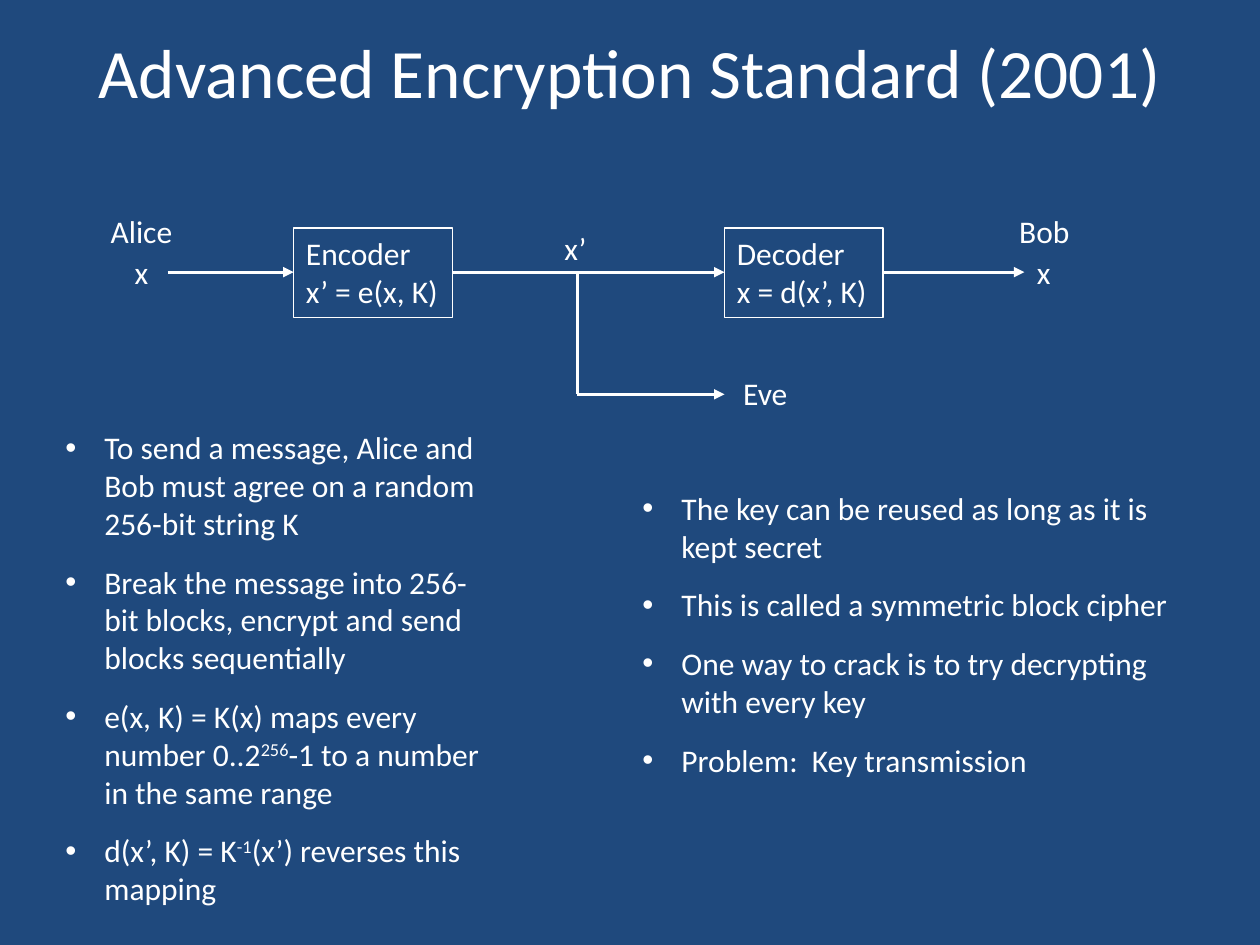
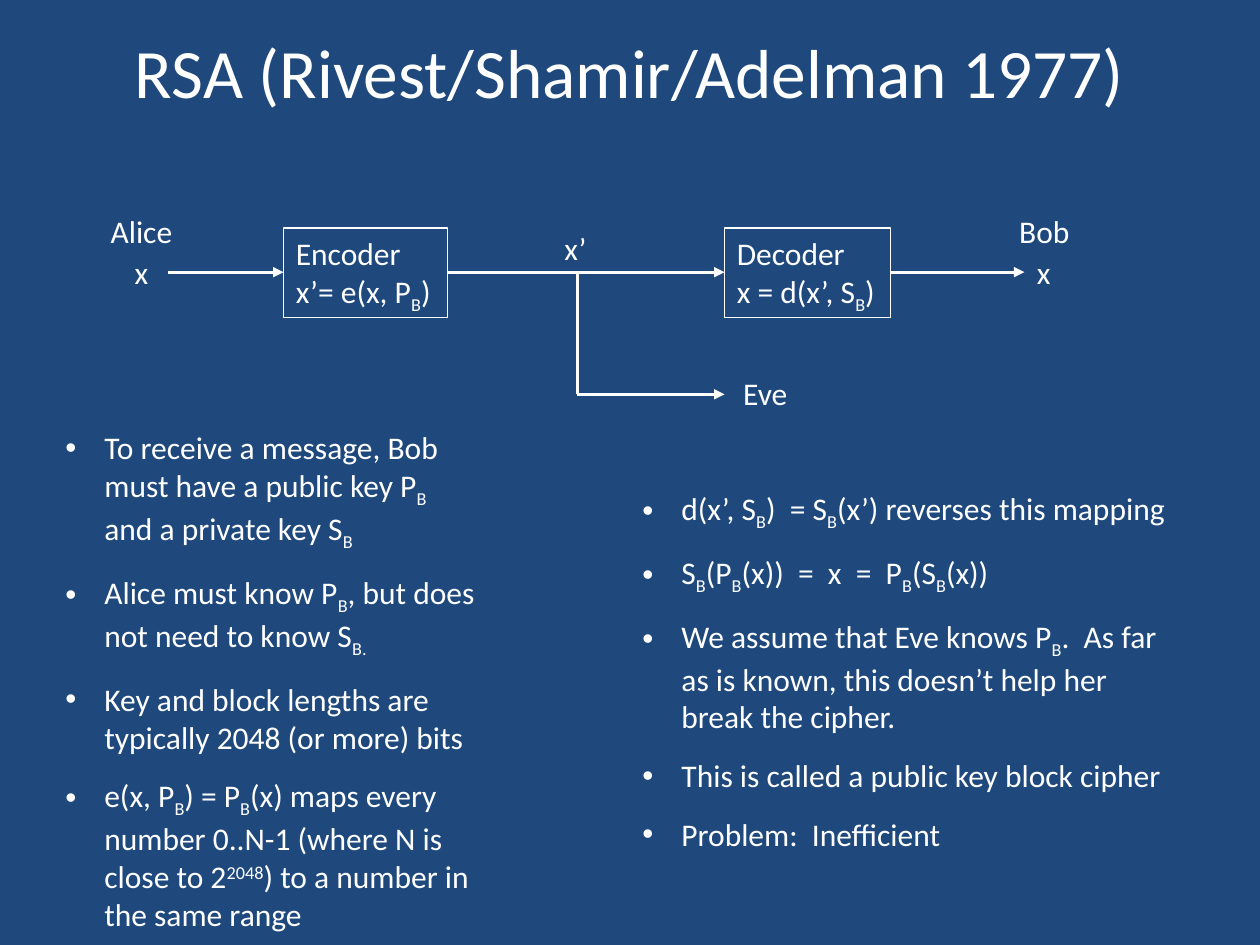
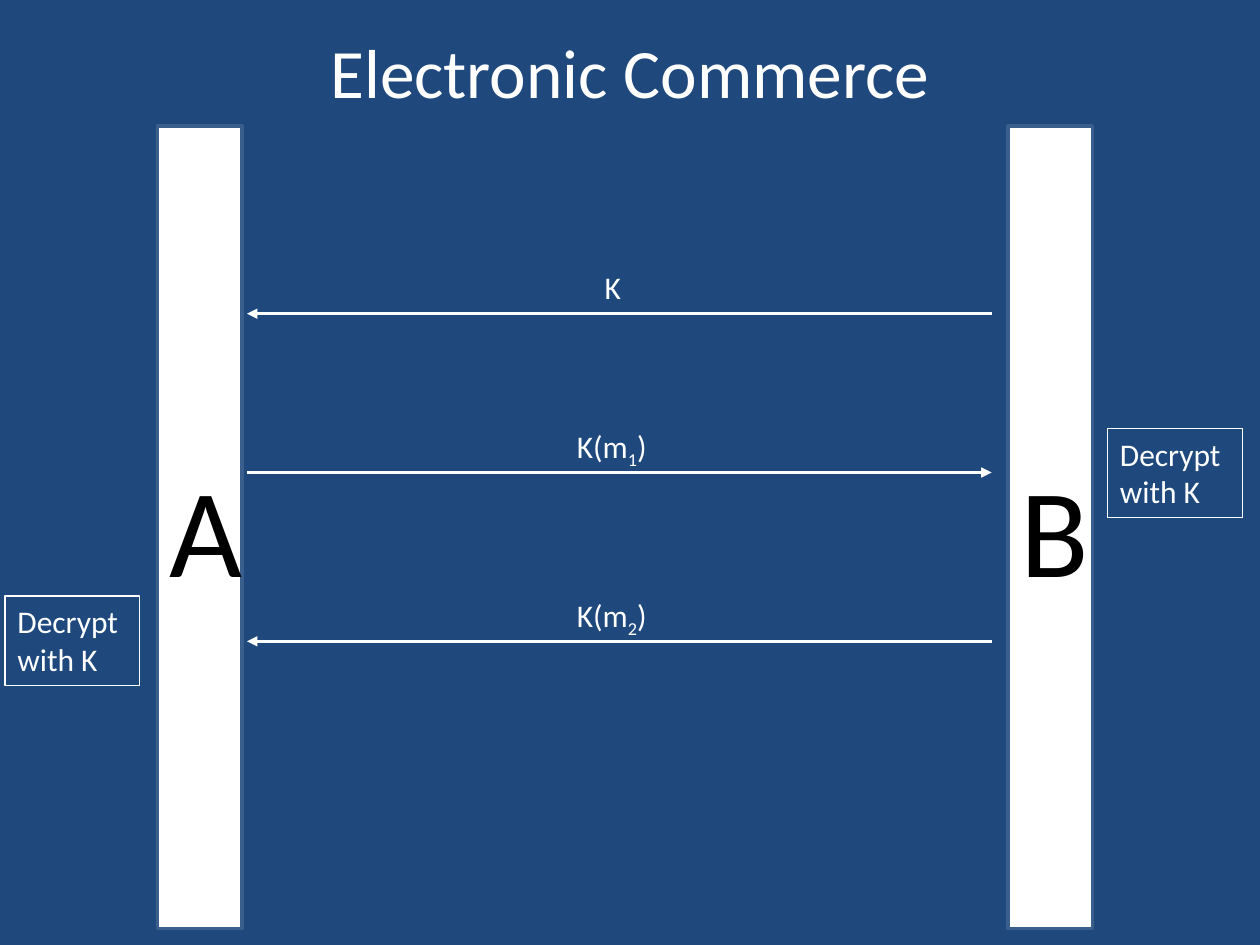
import pptx
import pptx.util
import pptx.dml.color
import pptx.enum.text
import pptx.enum.shapes
import pptx.oxml.ns
import pptx.oxml.xmlchemy

PX = 9144  # EMU per px, 100 px to the inch
FONT = "Calibri"
NAVY, WHITE, BLACK, BAR_EDGE = "1F497D", "FFFFFF", "000000", "3A5F8C"
BASELINE = {"_": "-25000", "^": "30000"}

ALIGN = pptx.enum.text.PP_ALIGN
ANCHOR = pptx.enum.text.MSO_ANCHOR
AUTO = pptx.enum.text.MSO_AUTO_SIZE


def rgb(color):
    return pptx.dml.color.RGBColor.from_string(color)


def px(*lengths):
    return [n * PX for n in lengths]


def a_element(tag, **attributes):
    element = pptx.oxml.xmlchemy.OxmlElement("a:" + tag)
    for name, value in attributes.items():
        element.set(name, str(value))
    return element


def write(tf, text, size=18, color=WHITE, align=None, anchor=ANCHOR.TOP,
          wrap=False, auto=AUTO.SHAPE_TO_FIT_TEXT, bullet=False, gap=0):
    """One paragraph a line; between bars, _ starts a subscript, ^ a superscript."""
    tf.word_wrap, tf.auto_size, tf.vertical_anchor = wrap, auto, anchor
    for i, line in enumerate(text.split("\n")):
        p = tf.add_paragraph() if i else tf.paragraphs[0]
        if align is not None:
            p.alignment = align
        if bullet:
            pPr = p._p.get_or_add_pPr()
            pPr.set("marL", str(31 * PX))
            pPr.set("indent", str(-31 * PX))
            pPr.append(a_element("buFont", typeface="Arial"))
            pPr.append(a_element("buChar", char="•"))
        if i and gap:
            p.space_before = pptx.util.Pt(gap)
        for part in line.split("|"):
            r = p.add_run()
            r.font.size, r.font.name = pptx.util.Pt(size), FONT
            r.font.color.rgb = rgb(color)
            if part[:1] in BASELINE:
                r.font._element.set("baseline", BASELINE[part[0]])
                part = part[1:]
            r.text = part


def label(s, x, y, w, h, text, **style):
    write(s.shapes.add_textbox(*px(x, y, w, h)).text_frame, text, **style)


def rect(s, x, y, w, h, text, fill=None, line=WHITE, weight=0.75,
         align=ALIGN.LEFT, **style):
    sp = s.shapes.add_shape(pptx.enum.shapes.MSO_SHAPE.RECTANGLE, *px(x, y, w, h))
    sp.shadow.inherit = False
    if fill:
        sp.fill.solid()
        sp.fill.fore_color.rgb = rgb(fill)
    else:
        sp.fill.background()
    sp.line.color.rgb = rgb(line)
    sp.line.width = pptx.util.Pt(weight)
    write(sp.text_frame, text, align=align, **style)


def wire(s, x1, y1, x2, y2, arrow=True):
    c = s.shapes.add_connector(pptx.enum.shapes.MSO_CONNECTOR.STRAIGHT,
                               *px(x1, y1, x2, y2))
    c.line.color.rgb = rgb(WHITE)
    c.line.width = pptx.util.Pt(1.75)
    spPr = c._element.spPr
    if arrow:
        spPr.find(pptx.oxml.ns.qn("a:ln")).append(a_element("tailEnd", type="triangle"))
    spPr.append(a_element("effectLst"))


def titled_slide(prs, title):
    s = prs.slides.add_slide(prs.slide_layouts[5])
    sp = s.shapes.title
    sp.left, sp.top, sp.width, sp.height = px(50, 17, 900, 78)
    write(sp.text_frame, title, size=39.6, align=ALIGN.CENTER,
          anchor=ANCHOR.MIDDLE, wrap=True, auto=AUTO.NONE)
    return s


def channel(s, x, y, encoder, decoder):
    """Alice to Bob with Eve listening; each coder is (left, width, text)."""
    wire_y, tap_x, eve_y, box_x = y + 53, x + 380, y + 150, x + 497
    enc_x, enc_w, _ = encoder
    dec_x, dec_w, _ = decoder
    # People and messages
    for dx, dy, w, text in ((0, 0, 70, "Alice"), (19, 33, 31, "x"),
                            (721, 0, 61, "Bob"), (735, 33, 31, "x"),
                            (360, 14, 38, "x’"), (502, 129, 56, "Eve")):
        label(s, x + dx, y + dy, w, 40, text)
    # Coders
    for dx, w, text in (encoder, decoder):
        rect(s, x + dx, y + 18, w, 71, text)
    # Main line
    for start, end in ((55, enc_x), (enc_x + enc_w, dec_x), (dec_x + dec_w, 735)):
        wire(s, x + start, wire_y, x + end, wire_y)
    # Eve's tap
    wire(s, tap_x, wire_y, tap_x, eve_y, arrow=False)
    wire(s, tap_x, eve_y, box_x, eve_y)


def cipher_slide(prs, title, encoder, decoder, left, right):
    s = titled_slide(prs, title)
    channel(s, 78, 163, encoder, decoder)
    for box, points in (((42, 335, 348, 394), left), ((500, 383, 438, 242), right)):
        label(s, *box, "\n".join(points), wrap=True, bullet=True, gap=12)


def exchange(s, x, y, w, h, messages):
    """Two parties as bars; each message is (y, label left, label width, text, to_b)."""
    bar_w = 67
    for left, name in ((x, "A"), (x + w - bar_w, "B")):
        rect(s, left, y, bar_w, h, name, fill=WHITE, line=BAR_EDGE, weight=2,
             size=72, color=BLACK, align=ALIGN.CENTER, anchor=ANCHOR.MIDDLE,
             wrap=True, auto=AUTO.NONE)
    ends = (x + 71, x + w - 80)
    for dy, dx, label_w, text, to_b in messages:
        start, end = ends if to_b else ends[::-1]
        wire(s, start, y + dy, end, y + dy)
        label(s, x + dx, y + dy - 41, label_w, 40, text)


def commerce_slide(prs):
    s = titled_slide(prs, "Electronic Commerce")
    exchange(s, 125, 100, 742, 637, [(149, 345, 33, "K", False),
                                     (275, 323, 78, "K(m|_1|)", True),
                                     (409, 323, 78, "K(m|_2|)", False)])
    for x, y in ((879, 340), (4, 473)):
        rect(s, x, y, 107, 71, "Decrypt\nwith K")


def main():
    prs = pptx.Presentation()
    prs.slide_width, prs.slide_height = px(1000, 750)
    fill = prs.slide_master.background.fill
    fill.solid()
    fill.fore_color.rgb = rgb(NAVY)

    cipher_slide(
        prs, "Advanced Encryption Standard (2001)",
        (155, 126, "Encoder\nx’ = e(x, K)"),
        (497, 126, "Decoder\nx = d(x’, K)"),
        ["To send a message, Alice and Bob must agree on a random 256-bit string K",
         "Break the message into 256-bit blocks, encrypt and send blocks sequentially",
         "e(x, K) = K(x) maps every number 0..2|^256|-1 to a number in the same range",
         "d(x’, K) = K|^-1|(x’) reverses this mapping"],
        ["The key can be reused as long as it is kept secret",
         "This is called a symmetric block cipher",
         "One way to crack is to try decrypting with every key",
         "Problem:  Key transmission"])

    cipher_slide(
        prs, "RSA (Rivest/Shamir/Adelman 1977)",
        (147, 130, "Encoder\nx’= e(x, P|_B|)"),
        (497, 132, "Decoder\nx = d(x’, S|_B|)"),
        ["To receive a message, Bob must have a public key P|_B| and a private key S|_B",
         "Alice must know P|_B|, but does not need to know S|_B.",
         "Key and block lengths are typically 2048 (or more) bits",
         "e(x, P|_B|) = P|_B|(x) maps every number 0..N-1 (where N is close to 2|^2048|)"
         " to a number in the same range"],
        ["d(x’, S|_B|)  = S|_B|(x’) reverses this mapping",
         "S|_B|(P|_B|(x))  =  x  =  P|_B|(S|_B|(x))",
         "We assume that Eve knows P|_B|.  As far as is known, this doesn’t help her"
         " break the cipher.",
         "This is called a public key block cipher",
         "Problem:  Inefficient"])

    commerce_slide(prs)
    prs.save("out.pptx")


if __name__ == "__main__":
    main()
